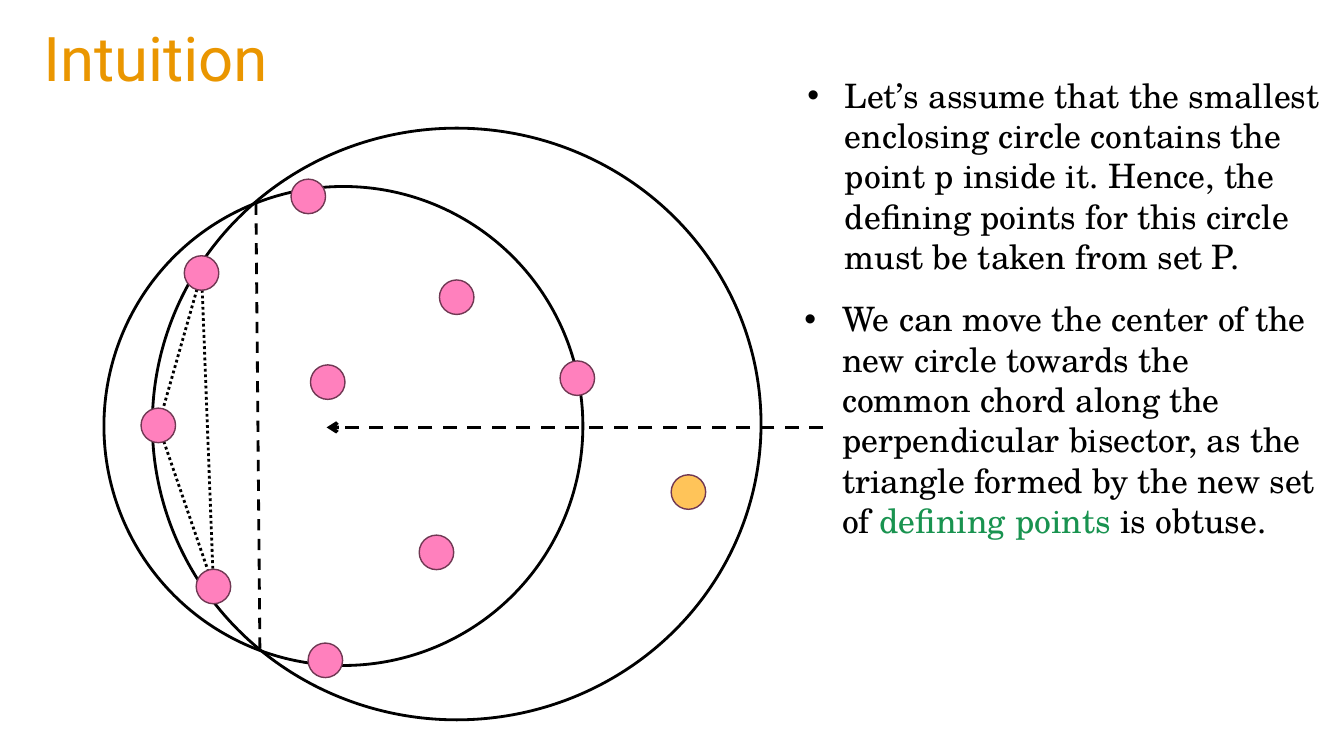
from itertools import combinations
from typing import NamedTuple

from lxml.etree import SubElement
from pptx import Presentation
from pptx.dml.color import RGBColor
from pptx.enum.dml import MSO_LINE as Dash
from pptx.enum.shapes import MSO_CONNECTOR, MSO_SHAPE
from pptx.enum.text import MSO_ANCHOR, MSO_AUTO_SIZE, PP_ALIGN
from pptx.oxml.ns import qn
from pptx.util import Cm, Pt

BLACK, PINK, ORANGE = "000000", "FF80BD", "FFC459"
PLUM, GREEN, TITLE = "703853", "199350", "EA9600"
DOT_SIZE = 0.87


class Point(NamedTuple):
    x: float
    y: float


class Box(NamedTuple):
    left: float
    top: float
    width: float
    height: float


class Segment(NamedTuple):
    start: Point
    end: Point
    dash: Dash
    weight: float = 2
    arrow: bool = False


class Piece(NamedTuple):
    text: str
    color: str = BLACK


class Bullet(NamedTuple):
    box: Box
    pieces: list[Piece]


CIRCLES = [Box(2.62, 4.7, 12.07, 12.07), Box(3.84, 3.23, 15.34, 14.91)]
TRIANGLE = [Point(5.08, 6.88), Point(3.99, 10.72), Point(5.38, 14.78)]
SET_P = TRIANGLE + [
    Point(7.77, 4.95),
    Point(11.51, 7.49),
    Point(11, 13.92),
    Point(14.55, 9.53),
    Point(8.2, 16.64),
    Point(8.26, 9.63),
]
NEW_POINT = Point(17.35, 12.4)
SEGMENTS = [
    Segment(Point(20.75, 10.77), Point(8.23, 10.77), Dash.DASH, 2.5, True),
    Segment(Point(6.45, 5.13), Point(6.55, 16.41), Dash.DASH),
] + [Segment(a, b, Dash.ROUND_DOT) for a, b in combinations(TRIANGLE, 2)]
BULLETS = [
    Bullet(Box(20.09, 1.75, 13.46, 5.38), [
        Piece("Let’s assume that the smallest enclosing circle contains the "
              "point p inside it. Hence, the defining points for this circle "
              "must be taken from set P."),
    ]),
    Bullet(Box(20.02, 7.39, 13.46, 7.44), [
        Piece("We can move the center of the new circle towards the common "
              "chord along the perpendicular bisector, as the triangle formed "
              "by the new set of "),
        Piece("defining points ", GREEN),
        Piece("is obtuse."),
    ]),
]


def rgb(value: str) -> RGBColor:
    return RGBColor.from_string(value)


def format_run(r, font: str, size: float, color: str) -> None:
    r.font.name = font
    r.font.size = Pt(size)
    r.font.color.rgb = rgb(color)


def place(sp, box: Box) -> None:
    sp.left, sp.top, sp.width, sp.height = map(Cm, box)


def set_title(sp, text: str) -> None:
    place(sp, Box(0.84, 0.51, 29.21, 3.68))
    tf = sp.text_frame
    tf.text = text
    tf.vertical_anchor = MSO_ANCHOR.TOP
    tf.margin_top = Cm(0.2)
    p = tf.paragraphs[0]
    p.alignment = PP_ALIGN.LEFT
    p.line_spacing = 0.9
    format_run(p.runs[0], "Roboto", 44, TITLE)


def set_bullet(sp, bullet: Bullet) -> None:
    place(sp, bullet.box)
    tf = sp.text_frame
    tf.word_wrap = True
    tf.auto_size = MSO_AUTO_SIZE.NONE
    p = tf.paragraphs[0]
    pPr = p._p.get_or_add_pPr()
    pPr.set("marL", str(Cm(0.95)))
    pPr.set("indent", str(-Cm(0.95)))
    SubElement(pPr, qn("a:buFont"), typeface="Arial")
    SubElement(pPr, qn("a:buChar"), char="•")
    p.space_before = Pt(0)
    for piece in bullet.pieces:
        r = p.add_run()
        r.text = piece.text
        format_run(r, "TeX Gyre Schola", 24, piece.color)


def add_ellipse(slide, box: Box, line: str, weight: float,
                fill: str | None = None) -> None:
    sp = slide.shapes.add_shape(MSO_SHAPE.OVAL, *map(Cm, box))
    sp.shadow.inherit = False
    if fill:
        sp.fill.solid()
        sp.fill.fore_color.rgb = rgb(fill)
    else:
        sp.fill.background()
    sp.line.color.rgb = rgb(line)
    sp.line.width = Pt(weight)


def add_dot(slide, center: Point, fill: str) -> None:
    box = Box(center.x - DOT_SIZE / 2, center.y - DOT_SIZE / 2,
              DOT_SIZE, DOT_SIZE)
    add_ellipse(slide, box, PLUM, 1, fill)


def add_segment(slide, segment: Segment) -> None:
    line = slide.shapes.add_connector(
        MSO_CONNECTOR.STRAIGHT, *map(Cm, segment.start + segment.end))
    line.line.color.rgb = rgb(BLACK)
    line.line.width = Pt(segment.weight)
    line.line.dash_style = segment.dash
    if segment.arrow:
        SubElement(line.line._get_or_add_ln(), qn("a:tailEnd"), type="arrow")
    SubElement(line._element.spPr, qn("a:effectLst"))


def main() -> None:
    prs = Presentation()
    prs.slide_width, prs.slide_height = Cm(33.87), Cm(19.05)
    slide = prs.slides.add_slide(prs.slide_layouts.get_by_name("Two Content"))
    title, *bodies = slide.placeholders
    set_title(title, "Intuition")
    for sp, bullet in zip(bodies, BULLETS):
        set_bullet(sp, bullet)
    for circle in CIRCLES:
        add_ellipse(slide, circle, BLACK, 2)
    for segment in SEGMENTS:
        add_segment(slide, segment)
    for point in SET_P:
        add_dot(slide, point, PINK)
    add_dot(slide, NEW_POINT, ORANGE)
    prs.save("out.pptx")


if __name__ == "__main__":
    main()
